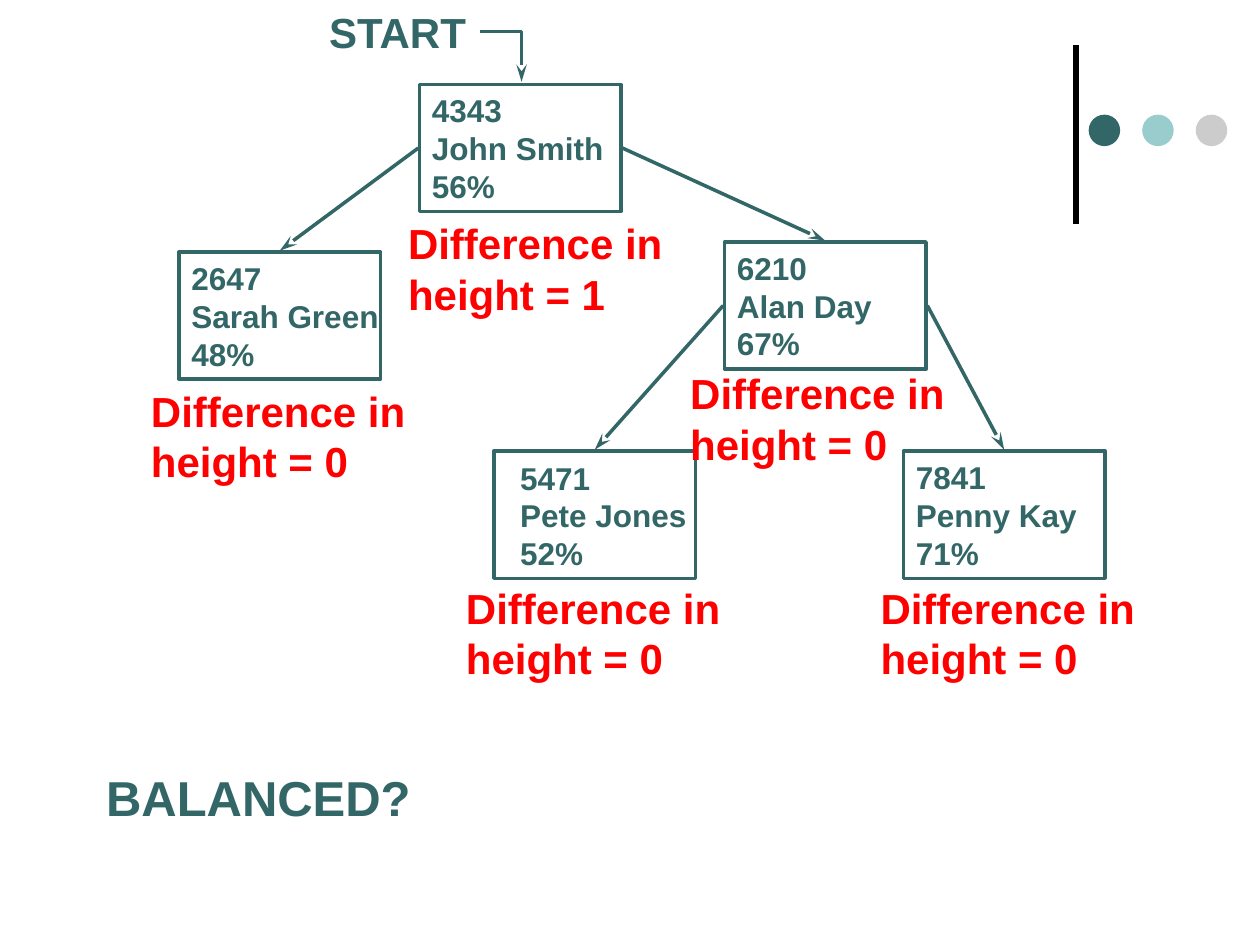
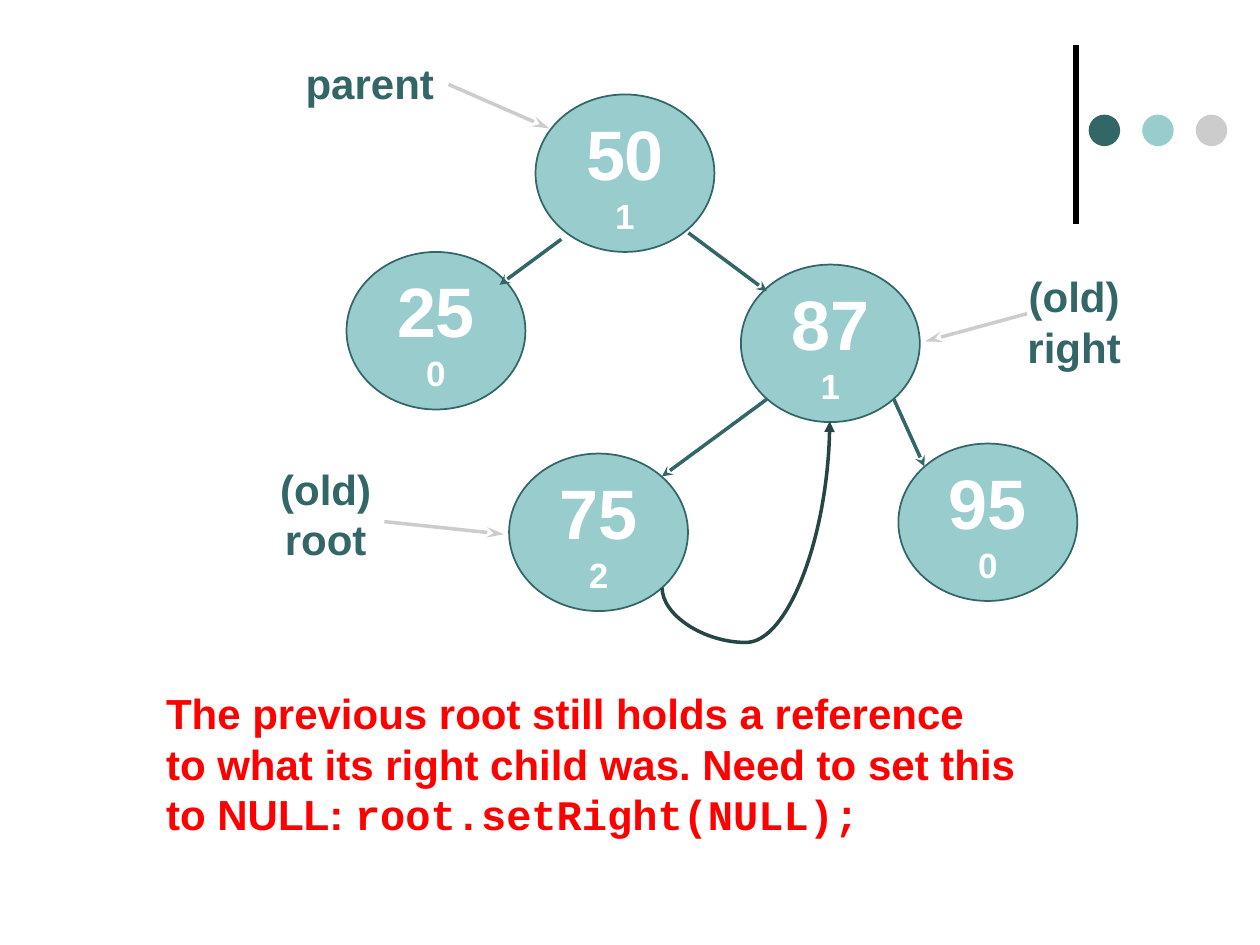
import pptx
import pptx.dml.color
import pptx.enum.shapes
import pptx.enum.text
import pptx.oxml
import pptx.util

RGBColor = pptx.dml.color.RGBColor
TEAL = RGBColor(0x33, 0x66, 0x66)
DARK_TEAL = RGBColor(0x26, 0x45, 0x45)
AQUA = RGBColor(0x99, 0xCC, 0xCC)
GREY = RGBColor(0xCC, 0xCC, 0xCC)
RED = RGBColor(0xFF, 0x00, 0x00)
BLACK = RGBColor(0x00, 0x00, 0x00)
WHITE = RGBColor(0xFF, 0xFF, 0xFF)

SHAPE = pptx.enum.shapes.MSO_SHAPE
CONNECTOR = pptx.enum.shapes.MSO_CONNECTOR
CENTER = pptx.enum.text.PP_ALIGN.CENTER
LEFT = pptx.enum.text.PP_ALIGN.LEFT
MIDDLE = pptx.enum.text.MSO_ANCHOR.MIDDLE
DRAWING_NS = "http://schemas.openxmlformats.org/drawingml/2006/main"

deck = pptx.Presentation()
deck.slide_width = pptx.util.Inches(10)
deck.slide_height = pptx.util.Inches(7.5)
CELL = deck.slide_width // 100  # square grid of 100 columns and 75 rows


def write(holder, text, size=24, color=TEAL, font="Arial", align=LEFT, wrap=False):
    """Append bold text; a newline starts a paragraph, a vertical tab breaks the line."""
    frame = holder.text_frame
    frame.word_wrap = wrap
    for row, line in enumerate(text.split("\n")):
        paragraph = frame.add_paragraph() if row else frame.paragraphs[-1]
        paragraph.alignment = align
        for part, piece in enumerate(line.split("\v")):
            if part:
                paragraph.add_line_break()
            if piece:
                run = paragraph.add_run()
                run.text = piece
                run.font.name = font
                run.font.size = pptx.util.Pt(size)
                run.font.bold = True
                run.font.color.rgb = color


def style_line(line, color, width=2, head="stealth", length="med"):
    line.line.color.rgb = color
    line.line.width = pptx.util.Pt(width)
    if head:
        tail = pptx.oxml.parse_xml(
            f'<a:tailEnd xmlns:a="{DRAWING_NS}" type="{head}" w="med" len="{length}"/>')
        line.get_or_add_ln().append(tail)
    line._element.spPr.append(pptx.oxml.parse_xml(f'<a:effectLst xmlns:a="{DRAWING_NS}"/>'))


balance, old_root = [deck.slides.add_slide(deck.slide_layouts[6]) for _ in range(2)]

# Corner decoration on both slides
for slide in (balance, old_root):
    rule = slide.shapes.add_connector(
        CONNECTOR.STRAIGHT, *[int(v * CELL) for v in (85.4, 17.8, 85.4, 3.6)])
    style_line(rule, BLACK, width=3, head=None)
    for column, color in enumerate((TEAL, AQUA, GREY)):
        place = (86.4 + 4.25 * column, 9.1, 2.5, 2.5)
        dot = slide.shapes.add_shape(SHAPE.OVAL, *[int(v * CELL) for v in place])
        dot.shadow.inherit = False
        dot.fill.solid()
        dot.fill.fore_color.rgb = color
        dot.line.fill.background()

# Slide 1: student records in a search tree
RECORD_W, RECORD_H = 16, 10.1
records = {  # key: left, top, name, mark
    4343: (33.3, 6.7, "John Smith", "56%"),
    2647: (14.2, 20, "Sarah Green", "48%"),
    6210: (57.5, 19.2, "Alan Day", "67%"),
    5471: (39.2, 35.8, "Pete Jones", "52%"),
    7841: (71.7, 35.8, "Penny Kay", "71%"),
}
for key, (left, top, name, mark) in records.items():
    place = [int(v * CELL) for v in (left, top, RECORD_W, RECORD_H)]
    record = balance.shapes.add_shape(SHAPE.RECTANGLE, *place)
    record.shadow.inherit = False
    record.fill.background()
    record.line.color.rgb = TEAL
    record.line.width = pptx.util.Pt(2)
    if key == 5471:  # this record's text is set further in than the others
        place = (left + 1.1, top + 0.7, RECORD_W - 1.1, 8.8)
        record = balance.shapes.add_textbox(*[int(v * CELL) for v in place])
        record.text_frame.margin_right = 0
    record.text_frame.vertical_anchor = MIDDLE
    write(record, f"{key}\v{name}\n{mark}", size=18)

for parent, child in ((4343, 2647), (4343, 6210), (6210, 5471), (6210, 7841)):
    parent_left, parent_top = records[parent][:2]
    child_left, child_top = records[child][:2]
    side = parent_left + (RECORD_W + 0.1 if child_left > parent_left else -0.1)
    ends = (side, parent_top + RECORD_H / 2, child_left + RECORD_W / 2, child_top - 0.1)
    link = balance.shapes.add_connector(CONNECTOR.STRAIGHT, *[int(v * CELL) for v in ends])
    style_line(link, TEAL, length="lg")

entry_start, *entry_bends = [
    (int(x * CELL), int(y * CELL)) for x, y in ((38.1, 2.5), (41.4, 2.5), (41.4, 6.5))]
entry = balance.shapes.build_freeform(*entry_start)
entry.add_line_segments(entry_bends, close=False)
entry_arrow = entry.convert_to_shape()
entry_arrow.fill.background()
style_line(entry_arrow, TEAL, length="lg")

for text, size, place in (
    ("START", 24, (25, 0, 13.1, 5)),
    ("BALANCED?", 28, (7.4, 60.4, 26.2, 5.7)),
):
    caption = balance.shapes.add_textbox(*[int(v * CELL) for v in place])
    write(caption, text, size=size, align=CENTER)

for left, top, difference in (
    (36, 45.7, 0), (68.9, 45.7, 0), (53.8, 28.7, 0), (31.4, 16.8, 1), (11, 30.1, 0),
):
    place = [int(v * CELL) for v in (left, top, 22.4, 9.1)]
    write(balance.shapes.add_textbox(*place),
          f"Difference in\nheight = {difference}", color=RED)

# Slide 2: the tree with the old root's reference
NODE_W, NODE_H = 14.2, 12.5
DIAGONAL_X, DIAGONAL_Y = NODE_W / 2 * 0.71, NODE_H / 2 * 0.71
nodes = {  # key: left, top, height shown under the key
    95: (71.3, 35.2, 0),
    87: (58.8, 21, 1),
    50: (42.5, 7.5, 1),
    75: (40.4, 36, 2),
    25: (27.5, 20, 0),
}
for key, (left, top, height) in nodes.items():
    place = [int(v * CELL) for v in (left, top, NODE_W, NODE_H)]
    node = old_root.shapes.add_shape(SHAPE.OVAL, *place)
    node.shadow.inherit = False
    node.fill.solid()
    node.fill.fore_color.rgb = AQUA
    node.line.color.rgb = TEAL
    node.line.width = pptx.util.Pt(1)
    node.text_frame.vertical_anchor = MIDDLE
    write(node, f"{key}\v", size=40, color=WHITE, align=CENTER)
    write(node, str(height), size=20, color=WHITE, align=CENTER)

for parent, child, drop in ((50, 25, 0.8), (50, 87, 0.3), (87, 75, 0), (87, 95, 0)):
    parent_x, parent_y = nodes[parent][0] + NODE_W / 2, nodes[parent][1] + NODE_H / 2
    child_x, child_y = nodes[child][0] + NODE_W / 2, nodes[child][1] + NODE_H / 2
    reach = DIAGONAL_X if child_x > parent_x else -DIAGONAL_X
    ends = (parent_x + reach, parent_y + DIAGONAL_Y + drop,
            child_x - reach, child_y - DIAGONAL_Y + drop)
    link = old_root.shapes.add_connector(CONNECTOR.STRAIGHT, *[int(v * CELL) for v in ends])
    style_line(link, TEAL)

# Curve from the old root back up to its former right child
reference = old_root.shapes.add_connector(
    CONNECTOR.CURVE, *[int(v * CELL) for v in (65.8, 46.7, 52.6, 33.4)])
style_line(reference, DARK_TEAL, head="triangle")
reference._element.spPr.find(f"{{{DRAWING_NS}}}xfrm").set("rot", str(90 * 60000))
geometry = reference._element.spPr.find(f"{{{DRAWING_NS}}}prstGeom")
for child in list(geometry):
    geometry.remove(child)
geometry.append(pptx.oxml.parse_xml(
    f'<a:avLst xmlns:a="{DRAWING_NS}"><a:gd name="adj1" fmla="val -32900"/></a:avLst>'))

for text, place, pointer_ends in (
    ("parent", (23.2, 4.1, 12.3, 5.1), (35.6, 6.7, 43.6, 10.2)),
    ("(old)\vroot", (21.2, 36.3, 9.3, 9.1), (30.5, 41.4, 40, 42.4)),
    ("(old)\nright", (80.5, 21, 9.5, 9.1), (81.5, 24.9, 73.4, 27.1)),
):
    label = old_root.shapes.add_textbox(*[int(v * CELL) for v in place])
    write(label, text, align=CENTER)
    pointer = old_root.shapes.add_connector(
        CONNECTOR.STRAIGHT, *[int(v * CELL) for v in pointer_ends])
    style_line(pointer, GREY, length="lg")

explanation = old_root.shapes.add_textbox(*[int(v * CELL) for v in (12.2, 54.1, 71.7, 20)])
write(explanation,
      "The previous root still holds a reference\v"
      "to what its right child was. Need to set this to NULL: ", color=RED, wrap=True)
write(explanation, "root.setRight(NULL);", color=RED, font="Courier New", wrap=True)

deck.save("out.pptx")
